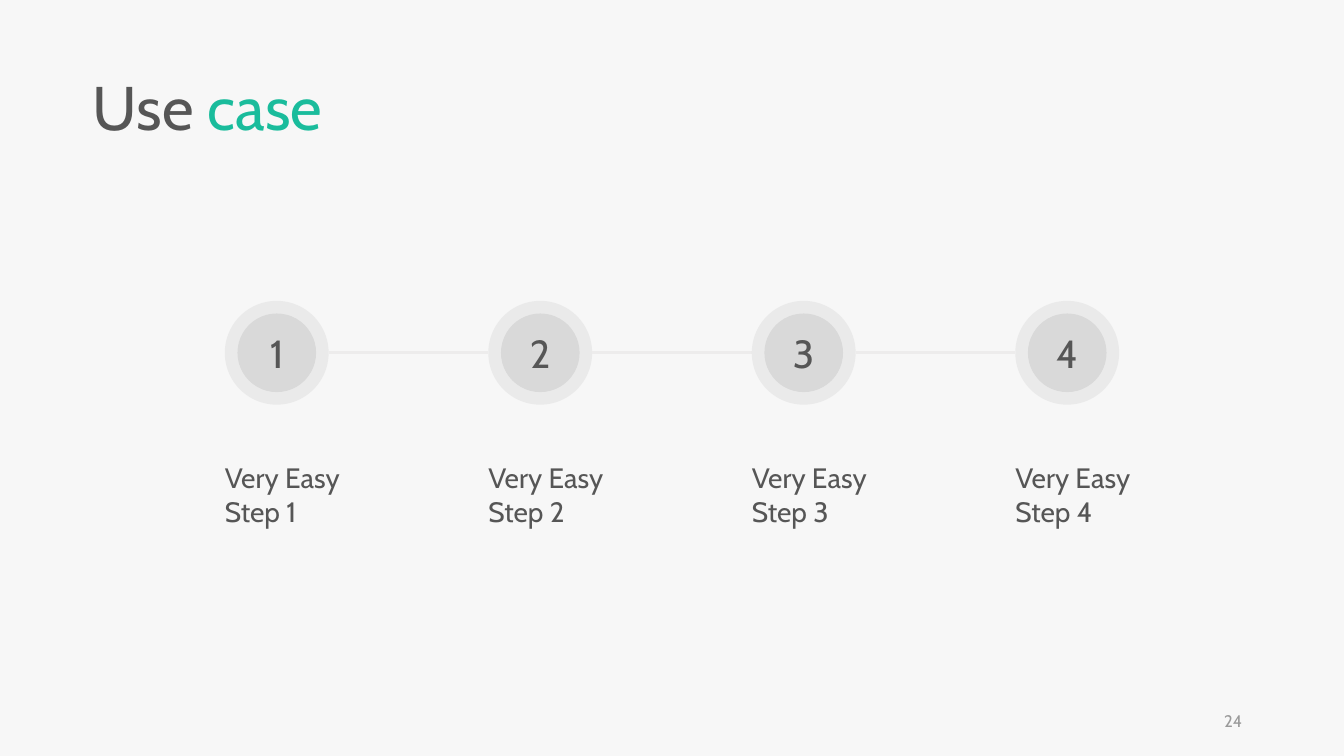
from dataclasses import dataclass

from lxml import etree
from pptx import Presentation
from pptx.dml.color import RGBColor
from pptx.enum.shapes import MSO_CONNECTOR, MSO_SHAPE
from pptx.enum.text import MSO_ANCHOR, PP_ALIGN
from pptx.oxml.ns import qn
from pptx.util import Inches, Pt

OVAL = MSO_SHAPE.OVAL
STRAIGHT = MSO_CONNECTOR.STRAIGHT
TOP, MIDDLE = MSO_ANCHOR.TOP, MSO_ANCHOR.MIDDLE
LEFT, CENTER, RIGHT = PP_ALIGN.LEFT, PP_ALIGN.CENTER, PP_ALIGN.RIGHT


@dataclass(frozen=True)
class Theme:
    font: str = "Cabin"
    background: str = "F7F7F7"
    ink: str = "565656"
    accent: str = "1ABC9C"
    muted: str = "9A9A9A"
    disc: str = "D9D9D9"
    link: str = "EDECEC"
    title_size: int = 44
    number_size: int = 28
    label_size: int = 20
    page_size: int = 12
    link_width: float = 2.25
    halo_opacity: int = 42


THEME = Theme()

# Content
TITLE = [("Use ", THEME.ink), ("case", THEME.accent)]
STEPS = ["Very Easy Step 1", "Very Easy Step 2", "Very Easy Step 3", "Very Easy Step 4"]
PAGE = "24"

# Layout, in inches
SLIDE_W, SLIDE_H = 13.33, 7.5
FIRST_X, LAST_X = 2.23, 10.07
PITCH = (LAST_X - FIRST_X) / (len(STEPS) - 1)
HALO, DISC = 1.03, 0.78
AXIS_Y = 3.5
LABEL_Y, LABEL_W, TEXT_H = 4.52, 1.69, 0.77
FLUSH = (0, 0.05, 0.1, 0.05)
PADDED = (0.1, 0.05, 0.1, 0.05)


def rgb(code):
    return RGBColor.from_string(code)


def write(shape, runs, *, size, align=LEFT, anchor=TOP, insets=PADDED, line_spacing=None):
    """Fill a shape with one paragraph of (text, colour) runs."""
    frame = shape.text_frame
    frame.word_wrap = True
    frame.vertical_anchor = anchor
    (frame.margin_left, frame.margin_top,
     frame.margin_right, frame.margin_bottom) = map(Inches, insets)
    paragraph = frame.paragraphs[0]
    paragraph.alignment = align
    paragraph.space_before = Pt(0)
    if line_spacing:
        paragraph.line_spacing = line_spacing
    for text, color in runs:
        run = paragraph.add_run()
        run.text = text
        run.font.name = THEME.font
        run.font.size = Pt(size)
        run.font.color.rgb = rgb(color)


def add_circle(shapes, center_x, diameter, opacity=100):
    corner = Inches(center_x - diameter / 2), Inches(AXIS_Y - diameter / 2)
    circle = shapes.add_shape(OVAL, *corner, Inches(diameter), Inches(diameter))
    circle.shadow.inherit = False
    circle.fill.solid()
    circle.fill.fore_color.rgb = rgb(THEME.disc)
    circle.line.fill.background()
    if opacity < 100:
        fill_color = circle.fill._xPr.find(qn("a:solidFill"))[0]
        etree.SubElement(fill_color, qn("a:alpha"), val=str(opacity * 1000))
    return circle


def add_link(shapes, start_x, end_x):
    link = shapes.add_connector(STRAIGHT, Inches(start_x), Inches(AXIS_Y),
                                Inches(end_x), Inches(AXIS_Y))
    link.line.color.rgb = rgb(THEME.link)
    link.line.width = Pt(THEME.link_width)
    etree.SubElement(link._element.spPr, qn("a:effectLst"))


def add_text_box(shapes, x, y, width, height):
    return shapes.add_textbox(Inches(x), Inches(y), Inches(width), Inches(height))


def main():
    deck = Presentation()
    deck.slide_width, deck.slide_height = Inches(SLIDE_W), Inches(SLIDE_H)
    slide = deck.slides.add_slide(deck.slide_layouts[5])
    slide.background.fill.solid()
    slide.background.fill.fore_color.rgb = rgb(THEME.background)
    shapes = slide.shapes

    # Title
    title = shapes.title
    title.left, title.top = Inches(0.92), Inches(0.72)
    title.width, title.height = Inches(4.9), Inches(TEXT_H)
    write(title, TITLE, size=THEME.title_size, insets=FLUSH, line_spacing=0.9)

    # Steps: numbered circles, labels and the links between them
    for index, step in enumerate(STEPS):
        x = FIRST_X + index * PITCH
        with_center = x + HALO / 2
        group = shapes.add_group_shape()
        add_circle(group.shapes, with_center, DISC)
        halo = add_circle(group.shapes, with_center, HALO, THEME.halo_opacity)
        write(halo, [(str(index + 1), THEME.ink)], size=THEME.number_size,
              align=CENTER, anchor=MIDDLE)
        label = add_text_box(shapes, x, LABEL_Y, LABEL_W, TEXT_H)
        write(label, [(step, THEME.ink)], size=THEME.label_size, insets=FLUSH)
        if index < len(STEPS) - 1:
            add_link(shapes, x + HALO, x + PITCH)

    # Page number
    page = add_text_box(shapes, 9.42, 6.95, 3, 0.4)
    write(page, [(PAGE, THEME.muted)], size=THEME.page_size, align=RIGHT, anchor=MIDDLE)

    deck.save("out.pptx")


if __name__ == "__main__":
    main()
